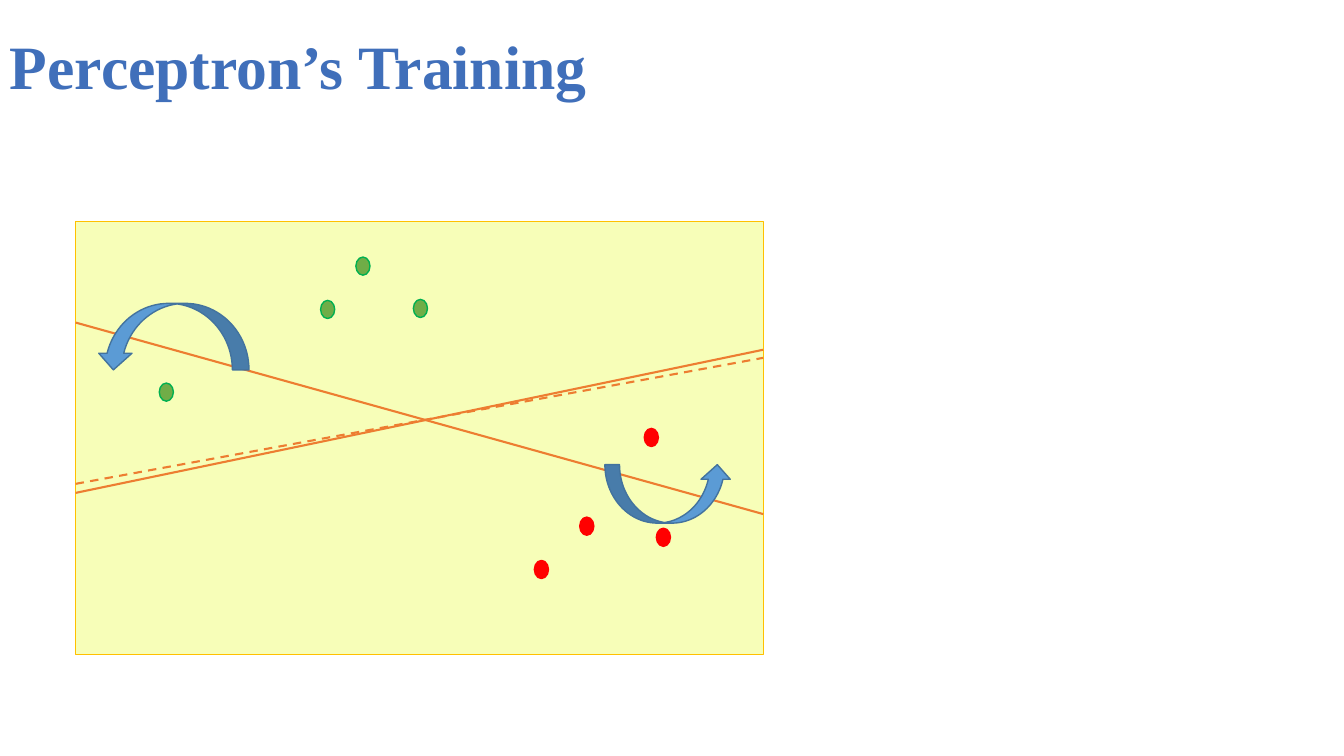
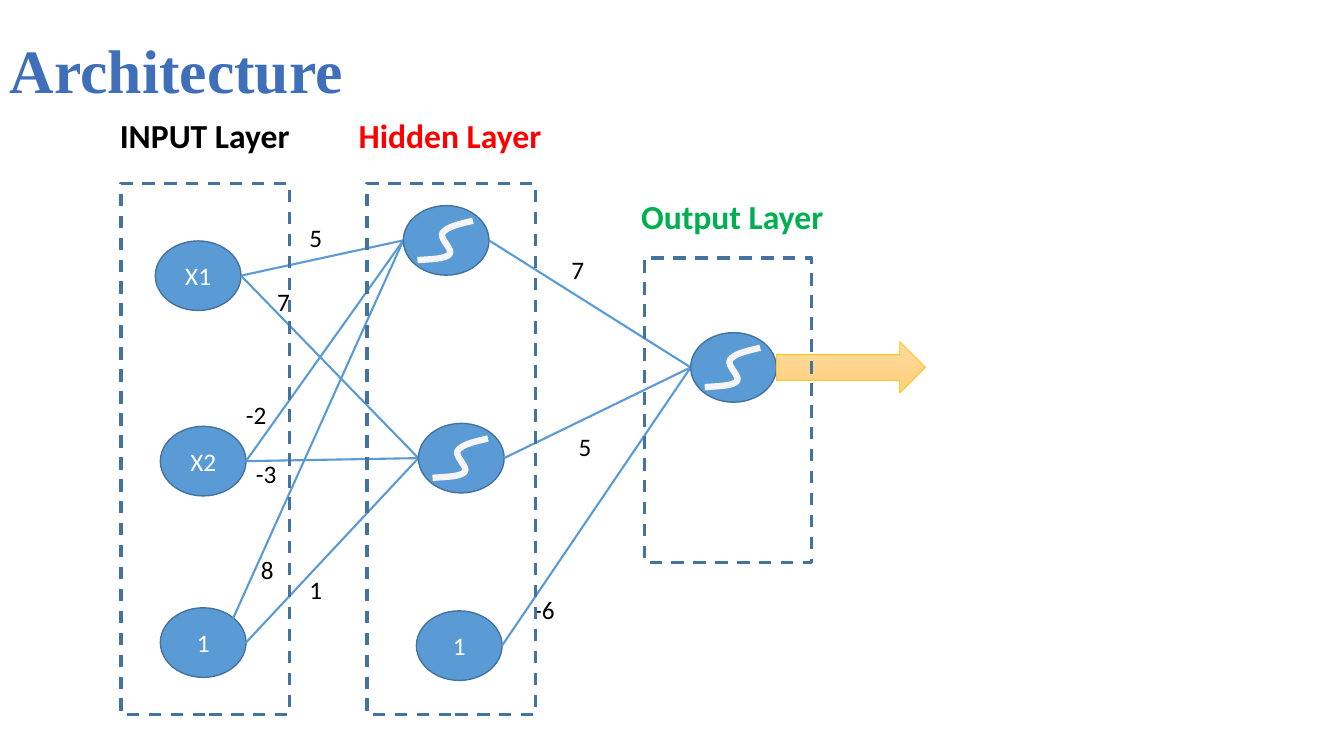
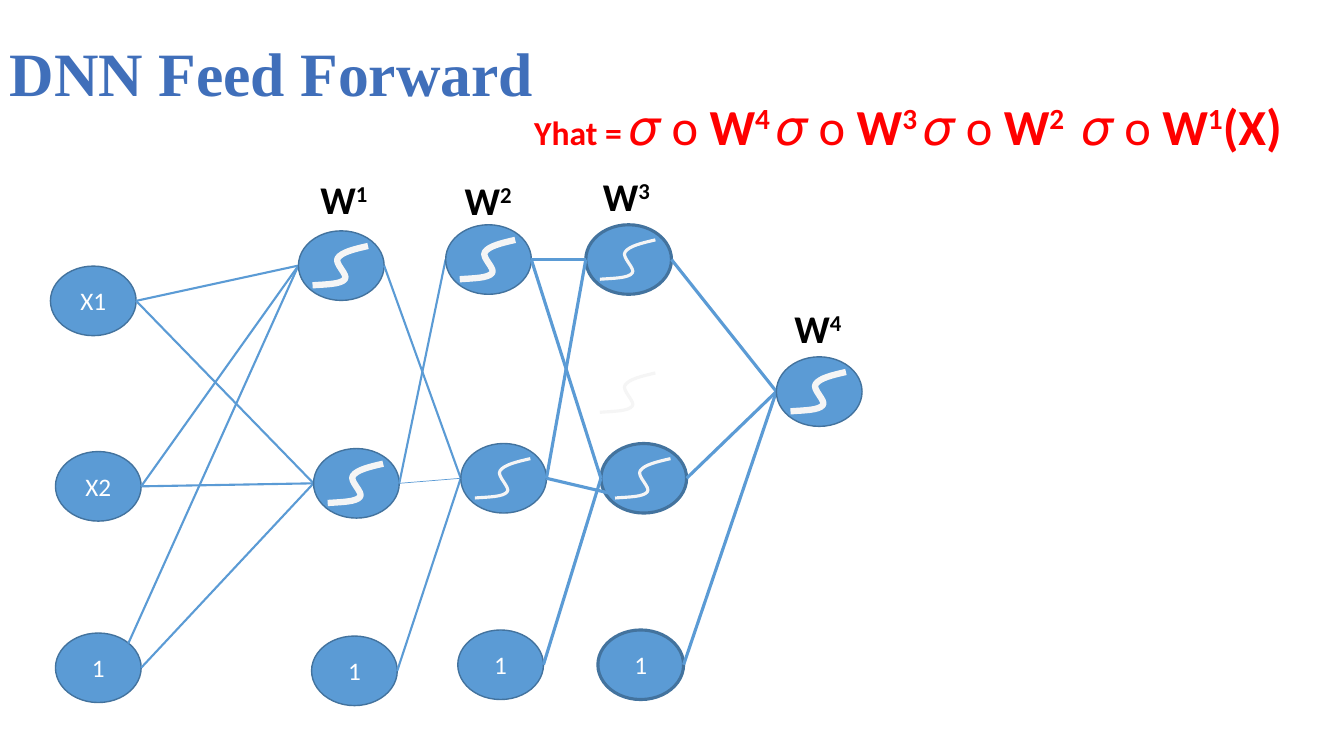
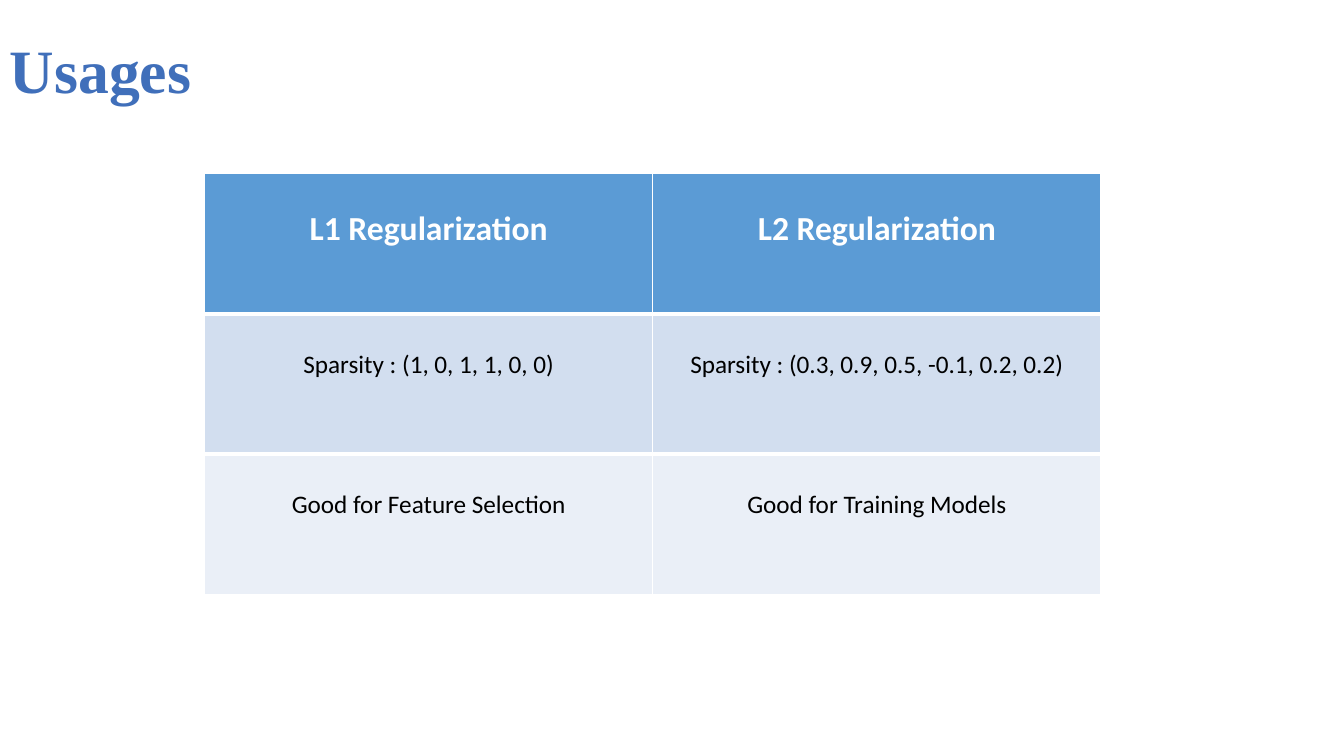
"""Build four slides about perceptrons, neural networks and regularization."""
from lxml import etree
from pptx import Presentation
from pptx.dml import color
from pptx.enum import dml, shapes, text
from pptx.oxml import ns
from pptx.util import Inches, Pt

BLUE, EDGE, WHITE, BLACK = "5B9BD5", "43739E", "FFFFFF", "000000"
RED, GREEN, ORANGE, GOLD = "FF0000", "00B050", "ED7D31", "FFC000"
TITLE_COLOR, SIGMOID_COLOR = "406FBA", "F5F5F5"
BODY_FONT, TITLE_FONT = "Calibri", "Times New Roman"
NODE_W, NODE_H = 0.85, 0.69
DOT_W, DOT_H = 0.14, 0.18
SIGMOID_START = (0.55, 0)
SIGMOID_CONTROLS = [
    (0.42, 0.03), (0.29, 0.06), (0.25, 0.12),
    (0.21, 0.17), (0.36, 0.29), (0.32, 0.33),
    (0.28, 0.38), (0.14, 0.38), (0, 0.39),
]


def rgb(value):
    """Turn a hex string into a colour."""
    return color.RGBColor.from_string(value)


def style_line(item, stroke, width, dashed=False):
    """Set colour, width and dash of an outline."""
    item.line.color.rgb = rgb(stroke)
    item.line.width = Pt(width)
    if dashed:
        item.line.dash_style = dml.MSO_LINE.DASH


def add_span(para, words, size, ink, bold=False, font=BODY_FONT, raised=False):
    """Append one formatted run to a paragraph."""
    span = para.add_run()
    span.text = words
    span.font.name = font
    span.font.size = Pt(size)
    span.font.bold = bold
    span.font.color.rgb = rgb(ink)
    if raised:
        span.font._element.set("baseline", "30000")


def add_box(page, left, top, width, height):
    """Add an empty text box and return its frame."""
    return page.shapes.add_textbox(
        Inches(left), Inches(top), Inches(width), Inches(height)).text_frame


def add_label(page, left, top, width, height):
    """Add a one-line label and return its paragraph."""
    frame = add_box(page, left, top, width, height)
    frame.word_wrap = False
    frame.auto_size = text.MSO_AUTO_SIZE.SHAPE_TO_FIT_TEXT
    return frame.paragraphs[0]


def add_page(deck, title, top=0.0):
    """Add a blank slide with its title."""
    page = deck.slides.add_slide(deck.slide_layouts[6])
    frame = add_box(page, 0, top, 11.5, 1.45)
    frame.word_wrap = True
    frame.vertical_anchor = text.MSO_ANCHOR.MIDDLE
    para = frame.paragraphs[0]
    para.line_spacing = 0.9
    add_span(para, title, 44, TITLE_COLOR, True, TITLE_FONT)
    return page


def add_figure(page, kind, left, top, width, height, fill, stroke, weight=1):
    """Add a preset shape, unfilled when fill is None."""
    shape = page.shapes.add_shape(
        kind, Inches(left), Inches(top), Inches(width), Inches(height))
    shape.shadow.inherit = False
    if fill:
        shape.fill.solid()
        shape.fill.fore_color.rgb = rgb(fill)
    else:
        shape.fill.background()
    style_line(shape, stroke, weight)
    return shape


def add_line(page, start, end, stroke=BLUE, width=1.5, dashed=False):
    """Draw a straight line between two points."""
    line = page.shapes.add_connector(
        shapes.MSO_CONNECTOR.STRAIGHT, *(Inches(v) for v in (*start, *end)))
    style_line(line, stroke, width, dashed)
    etree.SubElement(line._element.spPr, ns.qn("a:effectLst"))


def add_node(page, spot, caption="", weight=1):
    """Draw a neuron with an optional caption."""
    node = add_figure(page, shapes.MSO_SHAPE.OVAL, *spot, NODE_W, NODE_H,
                      BLUE, EDGE, weight)
    if caption:
        node.text_frame.vertical_anchor = text.MSO_ANCHOR.MIDDLE
        para = node.text_frame.paragraphs[0]
        para.alignment = text.PP_ALIGN.CENTER
        add_span(para, caption, 18, WHITE)


def bend(curve):
    """Turn each three straight segments of an outline into a cubic curve."""
    segments = list(curve._element.iter(ns.qn("a:lnTo")))
    for first in range(0, len(segments), 3):
        trio = segments[first:first + 3]
        cubic = etree.Element(ns.qn("a:cubicBezTo"))
        trio[0].addprevious(cubic)
        for segment in trio:
            cubic.append(segment[0])
            segment.getparent().remove(segment)


def add_sigmoid(page, left, top, width=4.5):
    """Draw the S-shaped activation curve."""
    start, *controls = [(Inches(left + x), Inches(top + y))
                        for x, y in [SIGMOID_START, *SIGMOID_CONTROLS]]
    builder = page.shapes.build_freeform(*start)
    builder.add_line_segments(controls, close=False)
    curve = builder.convert_to_shape()
    bend(curve)
    curve.shadow.inherit = False
    curve.fill.background()
    style_line(curve, SIGMOID_COLOR, width)


def add_neuron(page, spot, weight=1, curve_width=4.5):
    """Draw a neuron holding an activation curve."""
    add_node(page, spot, weight=weight)
    add_sigmoid(page, spot[0] + 0.14, spot[1] + 0.15, curve_width)


def right_of(spot):
    """Find the right middle point of a neuron."""
    return spot[0] + NODE_W, spot[1] + NODE_H / 2


def left_of(spot):
    """Find the left middle point of a neuron."""
    return spot[0], spot[1] + NODE_H / 2


def upper_right_of(spot):
    """Find the upper right point of a neuron's outline."""
    return spot[0] + NODE_W * 0.85, spot[1] + NODE_H * 0.15


def link(page, start, end, width=1.5):
    """Join two neurons from right side to left side."""
    add_line(page, right_of(start), left_of(end), width=width)


def add_first_layers(page, dx=0.0, dy=0.0):
    """Draw inputs and first hidden layer, returning the latter's spots."""
    def place(*spots):
        """Shift spots to this slide's position."""
        return [(x + dx, y + dy) for x, y in spots]

    inputs = place((1.54, 2.39), (1.59, 4.23), (1.59, 6.03))
    hidden = place((4, 2.04), (4.15, 4.2), (4.13, 6.06))
    for spot, caption in zip(inputs, ("X1", "X2", "1")):
        add_node(page, spot, caption)
        link(page, spot, hidden[1])
    for spot in inputs[:2]:
        link(page, spot, hidden[0])
    add_line(page, upper_right_of(inputs[2]), left_of(hidden[0]))
    for spot in hidden[:2]:
        add_neuron(page, spot)
    add_node(page, hidden[2], "1")
    return hidden


def build_training(deck):
    """Show a dividing line turning between two groups of points."""
    page = add_page(deck, "Perceptron’s Training", -0.04)
    add_figure(page, shapes.MSO_SHAPE.RECTANGLE, 0.75, 2.2, 6.82, 4.29,
               "F7FEB8", GOLD, 0.5)
    groups = [
        ("70AD47", GREEN, [(1.58, 3.8), (4.1, 2.97), (3.53, 2.55), (3.18, 2.98)]),
        (RED, RED, [(6.39, 4.25), (6.51, 5.24), (5.75, 5.13), (5.3, 5.56)]),
    ]
    for fill, stroke, dots in groups:
        for dot in dots:
            add_figure(page, shapes.MSO_SHAPE.OVAL, *dot, DOT_W, DOT_H,
                       fill, stroke)
    add_line(page, (0.75, 3.2), (7.57, 5.1), ORANGE)
    add_figure(page, shapes.MSO_SHAPE.CURVED_UP_ARROW, 6, 4.61, 1.26, 0.58,
               BLUE, EDGE)
    turn = add_figure(page, shapes.MSO_SHAPE.CURVED_DOWN_ARROW,
                      0.96, 3.01, 1.51, 0.66, BLUE, EDGE)
    turn._element.spPr.get_or_add_xfrm().set("flipH", "1")
    add_line(page, (0.75, 4.8), (7.57, 3.55), ORANGE, dashed=True)
    add_line(page, (0.75, 4.89), (7.57, 3.47), ORANGE)


def build_architecture(deck):
    """Show a network with one hidden layer and its weights."""
    page = add_page(deck, "Architecture")
    hidden = add_first_layers(page)
    output = (6.85, 3.3)
    for spot in hidden:
        link(page, spot, output)
    add_neuron(page, output)
    weights = [
        ("5", 2.97, 2.16), ("-2", 2.34, 3.91), ("7", 2.65, 2.79),
        ("-3", 2.44, 4.5), ("7", 5.57, 2.47), ("-6", 5.2, 5.85),
        ("5", 5.64, 4.23), ("8", 2.49, 5.45), ("1", 2.97, 5.65),
    ]
    for words, left, top in weights:
        width = 0.23 + 0.1 * len(words)
        add_span(add_label(page, left, top, width, 0.4), words, 18, BLACK)
    arrow = add_figure(page, shapes.MSO_SHAPE.RIGHT_ARROW, 7.7, 3.39, 1.48, 0.51,
                       None, GOLD, 0.5)
    arrow.fill.gradient()
    arrow.fill.gradient_angle = 270
    for stop, tint in zip(arrow.fill.gradient_stops, ("FFDB9E", "FFD07C")):
        stop.color.rgb = rgb(tint)
    layers = [
        ("INPUT Layer", BLACK, (1.09, 1.09, 1.9), (1.2, 1.82, 1.67, 5.27)),
        ("Hidden Layer", RED, (3.46, 1.09, 2.03), (3.64, 1.82, 1.67, 5.27)),
        ("Output Layer", GREEN, (6.26, 1.89, 2.03), (6.39, 2.56, 1.66, 3.02)),
    ]
    for words, ink, place, border in layers:
        frame = add_figure(page, shapes.MSO_SHAPE.RECTANGLE, *border,
                           None, EDGE, 2.25)
        frame.line.dash_style = dml.MSO_LINE.DASH
        add_span(add_label(page, *place, 0.5), words, 24, ink, True)


def build_feed_forward(deck):
    """Show a deep network and the formula of its output."""
    page = add_page(deck, "DNN Feed Forward", 0.03)
    first = add_first_layers(page, -1.04, 0.25)
    second = [(4.42, 2.23), (4.57, 4.4), (4.54, 6.25)]
    third = [(x + 1.39, y) for x, y in second]
    output = (7.7, 3.54)
    link(page, first[0], second[1])
    link(page, first[1], second[0])
    link(page, first[2], second[1])
    add_sigmoid(page, 5.95, 3.7, 2.25)
    for spots, weight, curves in ((second, 1, (4.5, 2.25)),
                                  (third, 2.25, (2.25, 2.25))):
        for spot, curve_width in zip(spots, curves):
            add_neuron(page, spot, weight, curve_width)
        add_node(page, spots[2], "1", weight)
    link(page, first[1], second[1], 0.5)
    for start, end in ((0, 0), (0, 1), (1, 0), (2, 1)):
        link(page, second[start], third[end], 2.25)
    add_line(page, right_of(second[1]), (6.12, 4.91), width=2.25)
    for spot in third:
        link(page, spot, output, 2.25)
    add_neuron(page, output)
    for number, left, top in (("1", 3.08, 1.69), ("2", 4.51, 1.7),
                              ("3", 5.88, 1.66), ("4", 7.78, 2.97)):
        para = add_label(page, left, top, 0.69, 0.57)
        add_span(para, "W", 28, BLACK, True)
        add_span(para, number, 28, BLACK, True, raised=True)
    para = add_label(page, 5.2, 0.89, 7.78, 0.71)
    add_span(para, "Yhat = ", 24, RED, True)
    for sigma, power in (("𝜎 ", "4 "), ("𝜎 ", "3 "), ("𝜎 ", "2 "), (" 𝜎 ", "1")):
        add_span(para, sigma, 36, RED, True)
        add_span(para, "o ", 36, RED)
        add_span(para, "W", 36, RED, True)
        add_span(para, power, 36, RED, True, raised=True)
    add_span(para, "(X)", 36, RED, True)


def add_cell_border(cell, side, width):
    """Draw a white border on one side of a cell."""
    border = etree.Element(ns.qn("a:" + side), w=str(Pt(width)))
    fill = etree.SubElement(border, ns.qn("a:solidFill"))
    etree.SubElement(fill, ns.qn("a:srgbClr"), val=WHITE)
    cell._tc.get_or_add_tcPr().insert(0, border)


def build_usages(deck):
    """Compare the two kinds of regularization in a table."""
    page = add_page(deck, "Usages")
    rows = [
        (BLUE, WHITE, 24, ("L1 Regularization", "L2 Regularization")),
        ("D2DEEF", BLACK, 18, ("Sparsity : (1, 0, 1, 1, 0, 0)",
                               "Sparsity : (0.3, 0.9, 0.5, -0.1, 0.2, 0.2)")),
        ("EAEFF7", BLACK, 18, ("Good for Feature Selection",
                               "Good for Training Models")),
    ]
    table = page.shapes.add_table(len(rows), 2, Inches(2.03), Inches(1.72),
                                  Inches(8.89), Inches(4.18)).table
    for row, (fill, ink, size, entries) in enumerate(rows):
        for column, words in enumerate(entries):
            cell = table.cell(row, column)
            cell.fill.solid()
            cell.fill.fore_color.rgb = rgb(fill)
            cell.margin_top = Inches(0.35)
            para = cell.text_frame.paragraphs[0]
            para.alignment = text.PP_ALIGN.CENTER
            add_span(para, words, size, ink, row == 0)
    for column in range(2):
        add_cell_border(table.cell(0, column), "lnB", 3)
        add_cell_border(table.cell(1, column), "lnT", 3)


def main():
    """Build and save the deck."""
    deck = Presentation()
    deck.slide_width = Inches(13.33)
    deck.slide_height = Inches(7.5)
    build_training(deck)
    build_architecture(deck)
    build_feed_forward(deck)
    build_usages(deck)
    deck.save("out.pptx")


if __name__ == "__main__":
    main()
